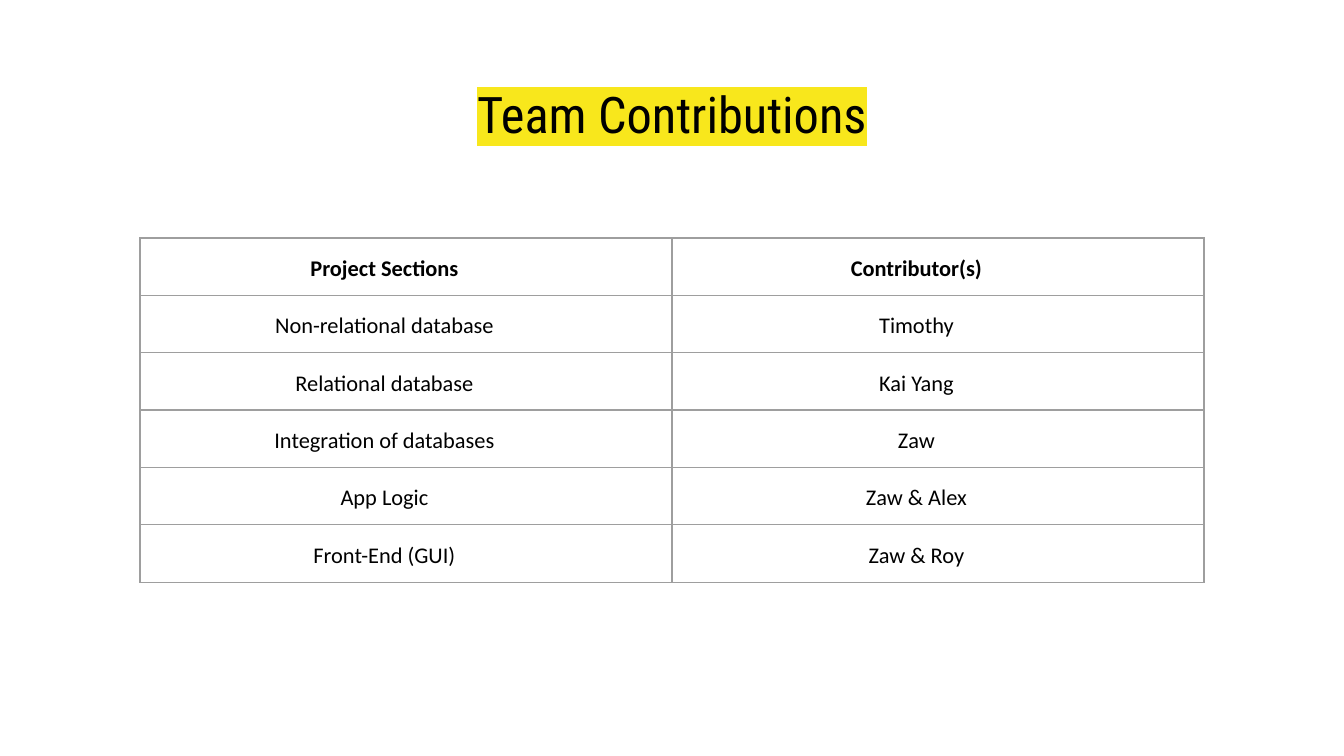
"""Build the team contributions slide."""
from lxml import etree
from pptx import Presentation, util as u
from pptx.dml.color import RGBColor
from pptx.enum import text
from pptx.oxml import ns

ROWS = [
    ("Project Sections", "Contributor(s)"),
    ("Non-relational database", "Timothy"),
    ("Relational database", "Kai Yang"),
    ("Integration of databases", "Zaw"),
    ("App Logic", "Zaw & Alex"),
    ("Front-End (GUI)", "Zaw & Roy"),
]


def px(length):
    """Turn pixels into EMU."""
    return u.Emu(round(length * 9144000 / 1344))


def color(value):
    """Turn a hex string into a colour."""
    return RGBColor.from_string(value)


def add_solid(parent, value):
    """Append a solid fill to an XML element."""
    fill = etree.SubElement(parent, ns.qn("a:solidFill"))
    etree.SubElement(fill, ns.qn("a:srgbClr"), val=value)


def format_font(font, name, size, bold=False):
    """Set the typeface, size, weight and black colour."""
    font.name, font.size, font.bold = name, u.Pt(size), bold
    font.color.rgb = color("000000")


def set_margins(owner, top=13):
    """Give a cell or text frame its inner margins."""
    owner.margin_left = owner.margin_right = owner.margin_bottom = px(13)
    owner.margin_top = px(top)


def add_title(slide, left, top, width, height):
    """Place the highlighted title in its box."""
    title = slide.shapes.title
    title.left, title.top, title.width, title.height = map(px, (left, top, width, height))
    frame = title.text_frame
    frame.text = "Team Contributions"
    frame.word_wrap = True
    frame.auto_size = text.MSO_AUTO_SIZE.NONE
    frame.vertical_anchor = text.MSO_ANCHOR.TOP
    set_margins(frame, top=17)
    heading = frame.paragraphs[0]
    heading.alignment = text.PP_ALIGN.CENTER
    run = heading.runs[0]
    format_font(run.font, "Roboto Condensed", 27)
    highlight = etree.Element(ns.qn("a:highlight"))
    etree.SubElement(highlight, ns.qn("a:srgbClr"), val="F8E71C")
    run.font._element.find(ns.qn("a:solidFill")).addnext(highlight)


def format_cell(cell, label, bold):
    """Write a label into a cell and outline it."""
    cell.text = label
    set_margins(cell)
    entry = cell.text_frame.paragraphs[0]
    entry.alignment = text.PP_ALIGN.CENTER
    entry.line_spacing = 1.15
    entry._p.get_or_add_pPr().set("marR", str(px(43)))
    format_font(entry.runs[0].font, "Calibri", 12, bold)
    properties = cell._tc.get_or_add_tcPr()
    for side in ("lnL", "lnR", "lnT", "lnB"):
        border = etree.SubElement(properties, ns.qn(f"a:{side}"), w=str(u.Pt(0.75)))
        add_solid(border, "9E9E9E")
    cell.fill.background()


def add_contributions(slide, left, top, width, height):
    """Place the table of sections and contributors in its box."""
    box = map(px, (left, top, width, height))
    contributions = slide.shapes.add_table(len(ROWS), len(ROWS[0]), *box).table
    contributions.first_row = contributions.horz_banding = False
    for row, labels in enumerate(ROWS):
        for column, label in enumerate(labels):
            format_cell(contributions.cell(row, column), label, bold=row == 0)


def main():
    """Build and save the slide."""
    deck = Presentation()
    deck.slide_width, deck.slide_height = px(1344), px(756)
    slide = deck.slides.add_slide(deck.slide_layouts[5])
    slide.background.fill.solid()
    slide.background.fill.fore_color.rgb = color("FFFFFF")
    add_title(slide, 46, 66, 1252, 84)
    add_contributions(slide, 140, 238, 1064, 342)
    deck.save("out.pptx")


if __name__ == "__main__":
    main()
